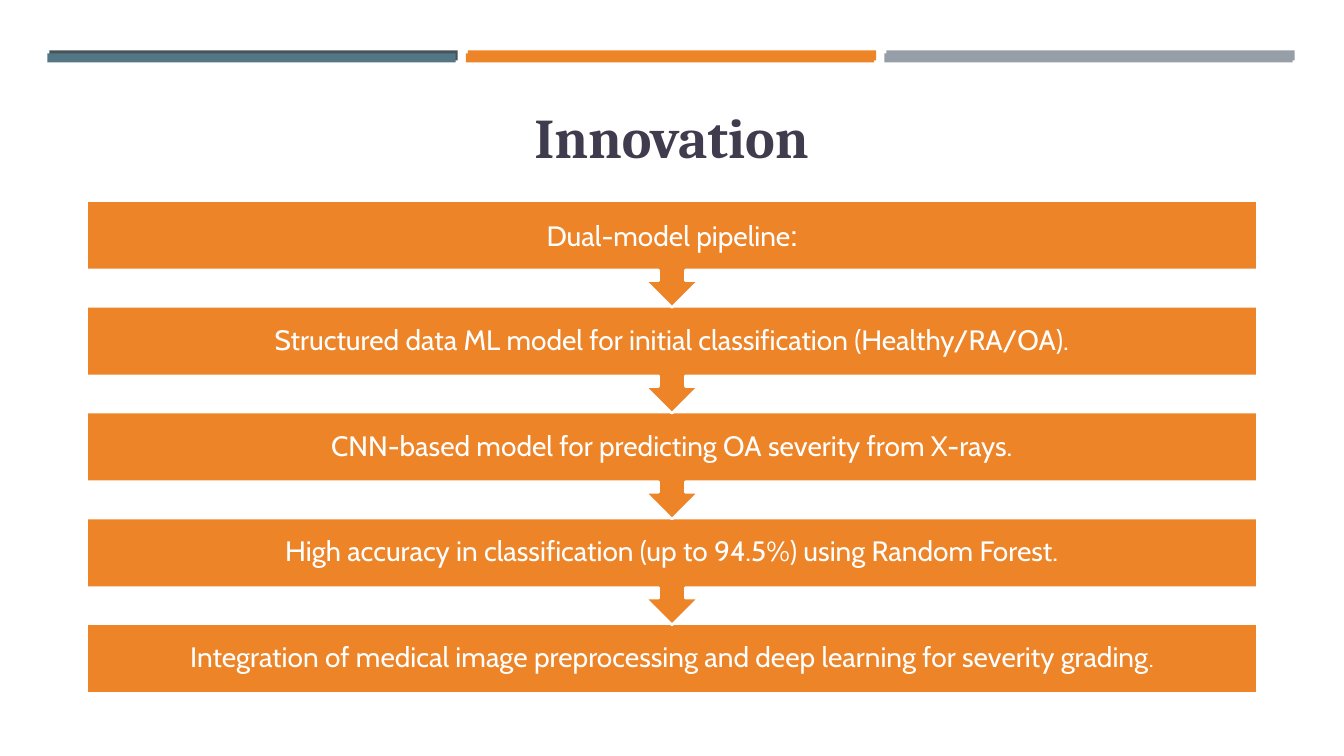
import pptx
import pptx.util
import pptx.dml.color
import pptx.enum.shapes
import pptx.enum.text

Inches = pptx.util.Inches
SHAPES = pptx.enum.shapes.MSO_SHAPE
ANCHOR = pptx.enum.text.MSO_ANCHOR
COLORS = {
    "slate": "465359",
    "teal": "537685",
    "orange": "ED8428",
    "gray": "969FA7",
    "title": "403C4E",
    "white": "FFFFFF",
}


def add_block(kind, left, top, width, height, color):
    shape = slide.shapes.add_shape(
        kind, Inches(left), Inches(top), Inches(width), Inches(height))
    shape.shadow.inherit = False
    shape.fill.solid()
    shape.fill.fore_color.rgb = pptx.dml.color.RGBColor.from_string(COLORS[color])
    shape.line.fill.background()
    return shape


def write_line(shape, runs, font_format, frame_format):
    frame = shape.text_frame
    for name, value in frame_format.items():
        setattr(frame, name, value)
    paragraph = frame.paragraphs[0]
    paragraph.alignment = pptx.enum.text.PP_ALIGN.CENTER
    paragraph.line_spacing = 0.9
    for text, size, color in runs:
        run = paragraph.add_run()
        run.text = text
        run.font.size = pptx.util.Pt(size)
        run.font.color.rgb = pptx.dml.color.RGBColor.from_string(COLORS[color])
        for name, value in font_format.items():
            setattr(run.font, name, value)


presentation = pptx.Presentation()
presentation.slide_width = Inches(13.33)
presentation.slide_height = Inches(7.5)
slide = presentation.slides.add_slide(presentation.slide_layouts[6])

# Header bars: a back row and a slightly offset front row
bar_rows = [
    (0.49, 0.5, 0.1, ["slate", "orange", "gray"]),
    (0.47, 0.53, 0.09, ["teal", "orange", "gray"]),
]
for left, top, height, bar_colors in bar_rows:
    for column, color in enumerate(bar_colors):
        add_block(SHAPES.RECTANGLE, left + 4.15 * column, top, 4.05, height, color)

# Title
title = slide.shapes.add_textbox(
    Inches(4.69), Inches(1.01), Inches(3.94), Inches(0.73))
write_line(title, [("Innovation", 40, "title")],
           {"name": "Cambria", "bold": True},
           {"word_wrap": True, "vertical_anchor": ANCHOR.BOTTOM})

# Pipeline steps, stacked from the bottom up so each arrow overlaps the next step
steps = [
    [("Dual-model pipeline", 20), (":", 24)],
    [("Structured data ML model for initial classification (Healthy/RA/OA).", 20)],
    [("CNN-based model for predicting OA severity from X-rays.", 20)],
    [("High accuracy in classification (up to 94.5%) using Random Forest.", 20)],
    [("Integration of medical image preprocessing and deep learning "
      "for severity grading", 20), (".", 17)],
]
step_frame = {"word_wrap": True, "vertical_anchor": ANCHOR.MIDDLE}
for side in ("left", "right", "top", "bottom"):
    step_frame["margin_" + side] = Inches(0.16)

last = len(steps) - 1
for index in range(last, -1, -1):
    kind, height = SHAPES.DOWN_ARROW_CALLOUT, 1.06
    if index == last:
        kind, height = SHAPES.RECTANGLE, 0.69
    step = add_block(kind, 0.86, 1.99 + 1.05 * index, 11.61, height, "orange")
    step.line.color.rgb = pptx.dml.color.RGBColor.from_string(COLORS["white"])
    step.line.width = pptx.util.Pt(1.75)
    runs = [(text, size, "white") for text, size in steps[index]]
    write_line(step, runs, {"name": "Cabin"}, step_frame)

presentation.save("out.pptx")
